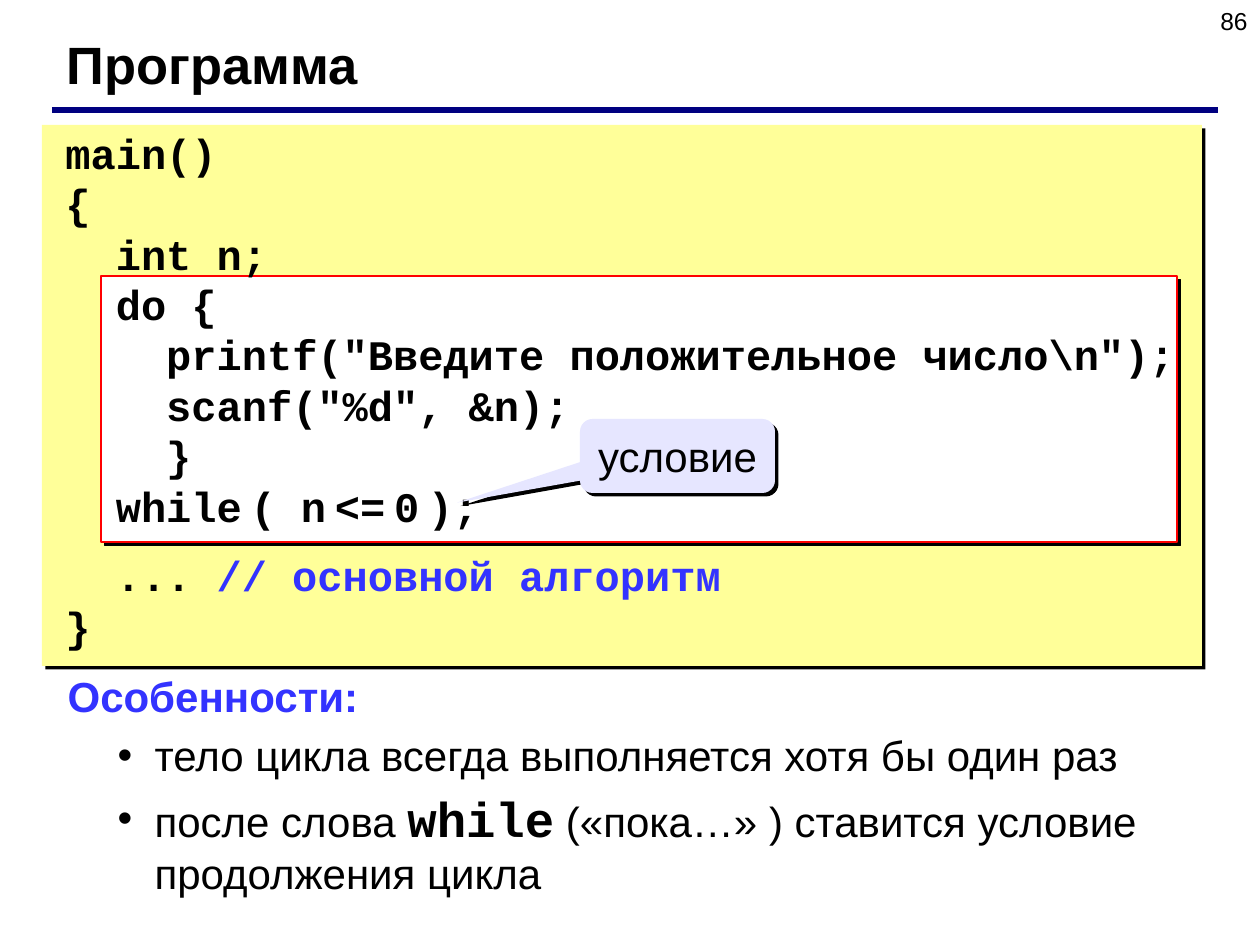
from lxml import etree
from pptx import Presentation
from pptx import util as u
from pptx.dml.color import RGBColor
from pptx.enum import shapes, text
from pptx.oxml.ns import qn

SANS, MONO = "Arial", "Courier New"
BLACK, BLUE = "000000", "3333FF"
PX_PER_INCH = 126


def px(length):
    return u.Emu(round(length * 914400 / PX_PER_INCH))


def box(*lengths):
    return [px(length) for length in lengths]


def paint(color_format, color):
    color_format.rgb = RGBColor.from_string(color)


def add_run(paragraph, words, size=24, font=SANS, color=BLACK, bold=False):
    run = paragraph.add_run()
    run.text = words
    run.font.size = u.Pt(size)
    run.font.name = font
    run.font.bold = bold
    paint(run.font.color, color)


def start_frame(frame):
    frame.word_wrap = True
    frame.auto_size = text.MSO_AUTO_SIZE.NONE
    frame.vertical_anchor = text.MSO_ANCHOR.TOP
    return frame


def next_paragraph(frame, first, space=0):
    paragraph = frame.paragraphs[0] if first else frame.add_paragraph()
    paragraph.alignment = text.PP_ALIGN.LEFT
    paragraph.space_before = u.Pt(space)
    return paragraph


def place(placeholder, *lengths):
    (placeholder.left, placeholder.top,
     placeholder.width, placeholder.height) = box(*lengths)
    return start_frame(placeholder.text_frame)


def set_bullet(paragraph, margin=0, indent=0, char=None):
    properties = paragraph._p.get_or_add_pPr()
    properties.set("marL", str(px(margin)))
    properties.set("indent", str(px(indent)))
    if char:
        etree.SubElement(properties, qn("a:buChar"), char=char)
    else:
        etree.SubElement(properties, qn("a:buNone"))


def add_panel(slide, kind, lengths, fill, border=None):
    panel = slide.shapes.add_shape(kind, *box(*lengths))
    panel.fill.solid()
    paint(panel.fill.fore_color, fill)
    if border:
        paint(panel.line.color, border)
        panel.line.width = u.Pt(1)
    else:
        panel.line.fill.background()
    panel.shadow.inherit = False
    effects = panel._element.spPr.find(qn("a:effectLst"))
    shadow = etree.SubElement(effects, qn("a:outerShdw"), dist=str(u.Pt(2.8)),
                              dir="2700000", algn="ctr", rotWithShape="0")
    etree.SubElement(shadow, qn("a:srgbClr"), val=BLACK)
    return panel


def add_rule(slide):
    rule = slide.shapes.add_connector(
        shapes.MSO_CONNECTOR.STRAIGHT, *box(52, 110, 1218, 110))
    paint(rule.line.color, "000080")
    rule.line.width = u.Pt(3)
    etree.SubElement(rule._element.spPr, qn("a:effectLst"))


def add_page_number(slide):
    frame = start_frame(slide.shapes.add_textbox(*box(966, 0, 294, 66)).text_frame)
    paragraph = next_paragraph(frame, True)
    paragraph.alignment = text.PP_ALIGN.RIGHT
    add_run(paragraph, "86", 14)


def add_code(slide):
    frame = start_frame(slide.shapes.add_textbox(*box(53, 121, 1142, 547)).text_frame)
    lines = [
        ["main()"],
        ["{"],
        ["  int n;"],
        ["  do {"],
        ['    printf("Введите положительное число\\n");'],
        ['    scanf("%d", &n);'],
        ["    }"],
        ["  while", " ", "( n", " ", "<=", " ", "0", " ", ");"],
        ["  ... ", "// основной алгоритм"],
        ["}"],
    ]
    for number, pieces in enumerate(lines):
        after_loop = pieces[0].startswith("  ...")
        paragraph = next_paragraph(frame, number == 0, 11 if after_loop else 0)
        for piece in pieces:
            if piece == " ":
                add_run(paragraph, piece, 18, bold=True)
            else:
                color = BLUE if piece.startswith("//") else BLACK
                add_run(paragraph, piece, font=MONO, color=color, bold=True)


def add_callout(slide):
    callout = add_panel(slide, shapes.MSO_SHAPE.ROUNDED_RECTANGULAR_CALLOUT,
                        (580, 419, 195, 74), "E6E6FF")
    for index, value in enumerate((-1.13, 0.63, 0.17)):
        callout.adjustments[index] = value
    frame = start_frame(callout.text_frame)
    frame.vertical_anchor = text.MSO_ANCHOR.MIDDLE
    paragraph = next_paragraph(frame, True)
    paragraph.alignment = text.PP_ALIGN.CENTER
    add_run(paragraph, "условие")


def fill_features(placeholder):
    frame = place(placeholder, 55, 664, 1160, 239)
    heading = next_paragraph(frame, True)
    set_bullet(heading)
    add_run(heading, "Особенности:", color=BLUE, bold=True)
    features = [
        ["тело цикла всегда выполняется хотя бы один раз"],
        ["после слова ", "while", " («пока…» ) ставится условие продолжения цикла"],
    ]
    for pieces in features:
        paragraph = next_paragraph(frame, False, 5)
        paragraph.level = 1
        set_bullet(paragraph, 87, -37, "•")
        for piece in pieces:
            if piece == "while":
                add_run(paragraph, piece, 28, MONO, bold=True)
            else:
                add_run(paragraph, piece)


def main():
    deck = Presentation()
    deck.slide_width, deck.slide_height = box(1260, 945)
    slide = deck.slides.add_slide(deck.slide_layouts[1])
    title = place(slide.shapes.title, 54, 26, 1121, 76)
    add_run(next_paragraph(title, True), "Программа", 30, bold=True)
    fill_features(slide.placeholders[1])
    add_page_number(slide)
    rectangle = shapes.MSO_SHAPE.RECTANGLE
    add_panel(slide, rectangle, (42, 125, 1160, 541), "FFFF99")
    add_panel(slide, rectangle, (101, 276, 1076, 266), "FFFFFF", "FF0000")
    add_rule(slide)
    add_code(slide)
    add_callout(slide)
    deck.save("out.pptx")


if __name__ == "__main__":
    main()
